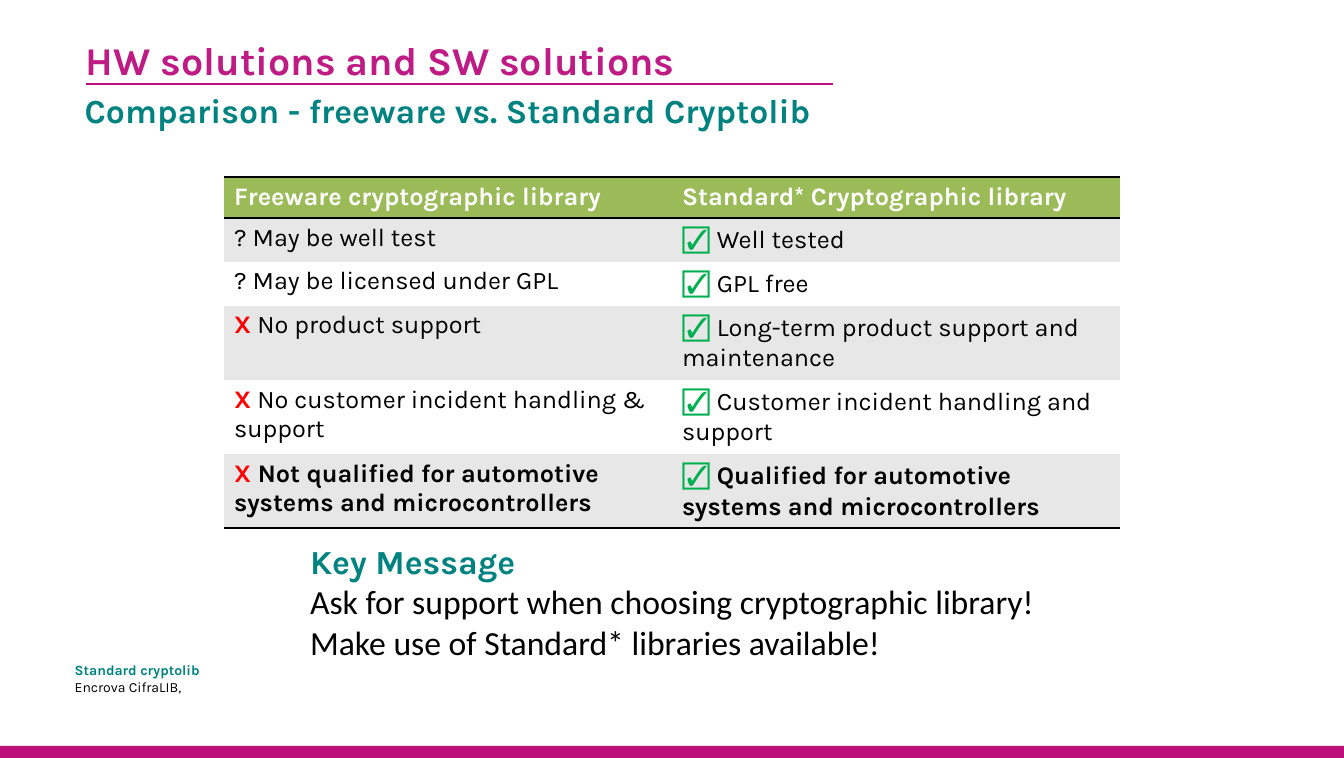
from dataclasses import dataclass
from lxml.etree import SubElement
from pptx import Presentation
from pptx.dml.color import RGBColor as Color
from pptx.enum.shapes import MSO_CONNECTOR as Connector, MSO_SHAPE as Shape
from pptx.enum.text import MSO_AUTO_SIZE as AutoSize
from pptx.oxml.ns import qn
from pptx.util import Emu, Inches, Pt


@dataclass(frozen=True)
class Theme:
    magenta: str = "BC0F79"
    rule: str = "BD0F79"
    title: str = "BE1B84"
    teal: str = "008380"
    header: str = "9BBB59"
    band: str = "E7E7E7"
    white: str = "FFFFFF"
    black: str = "000000"
    red: str = "FF0000"
    green: str = "00B050"
    heading_font: str = "Karla"
    body_font: str = "Calibri"
    title_size: int = 28
    large: int = 24
    check_size: int = 20
    cell_size: int = 18
    small: int = 10


theme = Theme()
presentation = Presentation()
presentation.slide_width, presentation.slide_height = Emu(12166600), Inches(7.5)
column = presentation.slide_width / 100
row = presentation.slide_height / 100
slide = presentation.slides.add_slide(presentation.slide_layouts[6])


def add_run(paragraph, text, size, color, bold=False, font=theme.heading_font):
    run = paragraph.add_run()
    run.text = text
    run.font.name = font
    run.font.size = Pt(size)
    run.font.bold = bold
    run.font.color.rgb = Color.from_string(color)


def add_text(left, top, width, height, lines, inset=True):
    box = slide.shapes.add_textbox(
        round(left * column), round(top * row), round(width * column), round(height * row))
    frame = box.text_frame
    frame.word_wrap = True
    frame.auto_size = AutoSize.SHAPE_TO_FIT_TEXT
    if not inset:
        frame.margin_left = frame.margin_right = frame.margin_bottom = 0
        frame.margin_top = Pt(1)
    for index, line in enumerate(lines):
        paragraph = frame.add_paragraph() if index else frame.paragraphs[0]
        add_run(paragraph, *line)


footer_bar = slide.shapes.add_shape(
    Shape.RECTANGLE, 0, round(98.4 * row), round(100 * column), round(1.6 * row))
footer_bar.shadow.inherit = False
footer_bar.fill.solid()
footer_bar.fill.fore_color.rgb = Color.from_string(theme.magenta)
footer_bar.line.fill.background()

add_text(23.07, 71.13, 55.52, 16.4, [
    ("Key Message", theme.large, theme.teal, True),
    ("Ask for support when choosing cryptographic library!",
     theme.large, theme.black, False, theme.body_font),
    ("Make use of Standard* libraries available!",
     theme.large, theme.black, False, theme.body_font),
], inset=False)

title_rule = slide.shapes.add_connector(
    Connector.STRAIGHT, round(62 * column), round(11.07 * row),
    round(6.4 * column), round(11.07 * row))
title_rule.line.color.rgb = Color.from_string(theme.rule)
title_rule.line.width = Pt(1.5)
SubElement(title_rule.element.spPr, qn("a:effectLst"))

add_text(6.4, 4.55, 50.64, 6.53, [
    ("HW solutions and SW solutions", theme.title_size, theme.title, True)], inset=False)
add_text(5.56, 11.2, 59.5, 6.67, [
    ("Comparison - freeware vs. Standard Cryptolib", theme.large, theme.teal, True)])

headers = ("Freeware cryptographic library", "Standard* Cryptographic library")
comparison = [
    ("? ", "May be well test", "Well tested"),
    ("? ", "May be licensed under GPL", "GPL free"),
    ("X", " No product support", "Long-term product support and maintenance"),
    ("X", " No customer incident handling & support", "Customer incident handling and support"),
    ("X", " Not qualified for automotive systems and microcontrollers",
     "Qualified for automotive systems and microcontrollers"),
]
row_heights = [5.4] + [5.8] * 2 + [9.75] * 3
last = len(comparison)
mark_styles = {
    "? ": (theme.cell_size, theme.black, False),
    "X": (theme.cell_size, theme.red, True),
    "☑ ": (theme.check_size, theme.green, False),
}

table = slide.shapes.add_table(
    last + 1, len(headers), round(16.67 * column), round(23.33 * row),
    round(66.66 * column), round(sum(row_heights) * row)).table
table.first_row = table.horz_banding = False
table._tbl.tblPr.find(qn("a:tableStyleId")).text = "{2D5ABB26-0587-4C30-8999-92F81FD0307C}"

for row_index, height in enumerate(row_heights):
    table.rows[row_index].height = round(height * row)
    for column_index, header in enumerate(headers):
        cell = table.cell(row_index, column_index)
        paragraph = cell.text_frame.paragraphs[0]
        if row_index == 0:
            fill, edges = theme.header, ("a:lnT", "a:lnB")
            add_run(paragraph, header, theme.cell_size, theme.white, True)
        else:
            fill = theme.band if row_index % 2 else theme.white
            edges = ("a:lnB",) if row_index == last else ()
            mark, *statements = comparison[row_index - 1]
            mark = "☑ " if column_index else mark
            add_run(paragraph, mark, *mark_styles[mark])
            add_run(paragraph, statements[column_index], theme.cell_size, theme.black,
                    row_index == last)
        properties = cell._tc.get_or_add_tcPr()
        for edge in edges:
            border = SubElement(properties, qn(edge), w=str(Pt(2)))
            paint = SubElement(border, qn("a:solidFill"))
            SubElement(paint, qn("a:srgbClr"), val=theme.black)
        cell.fill.solid()
        cell.fill.fore_color.rgb = Color.from_string(fill)

add_text(5.56, 87.1, 55.52, 4.67, [
    ("Standard cryptolib", theme.small, theme.teal, True),
    ("Encrova CifraLIB,", theme.small, theme.black),
], inset=False)

presentation.save("out.pptx")
